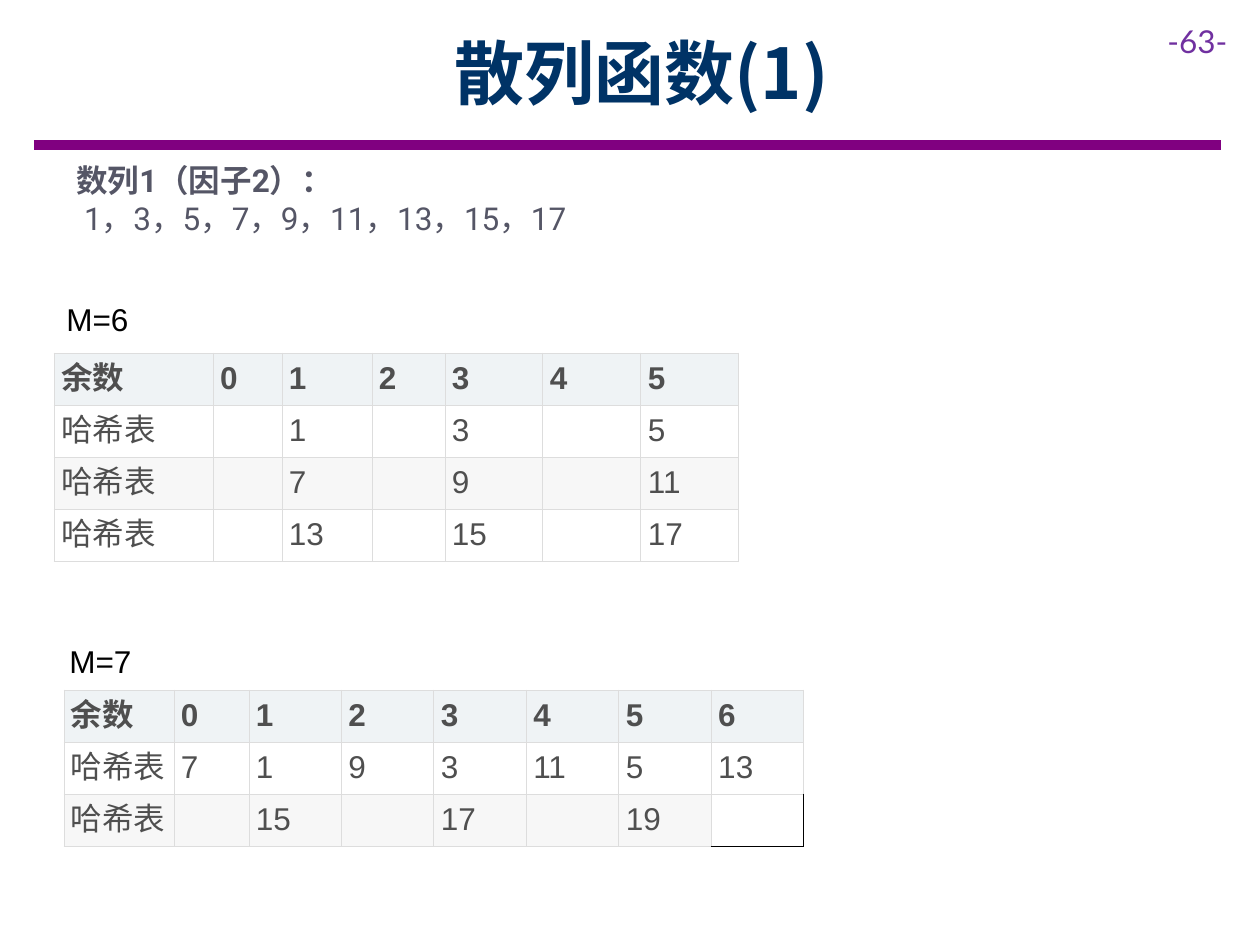
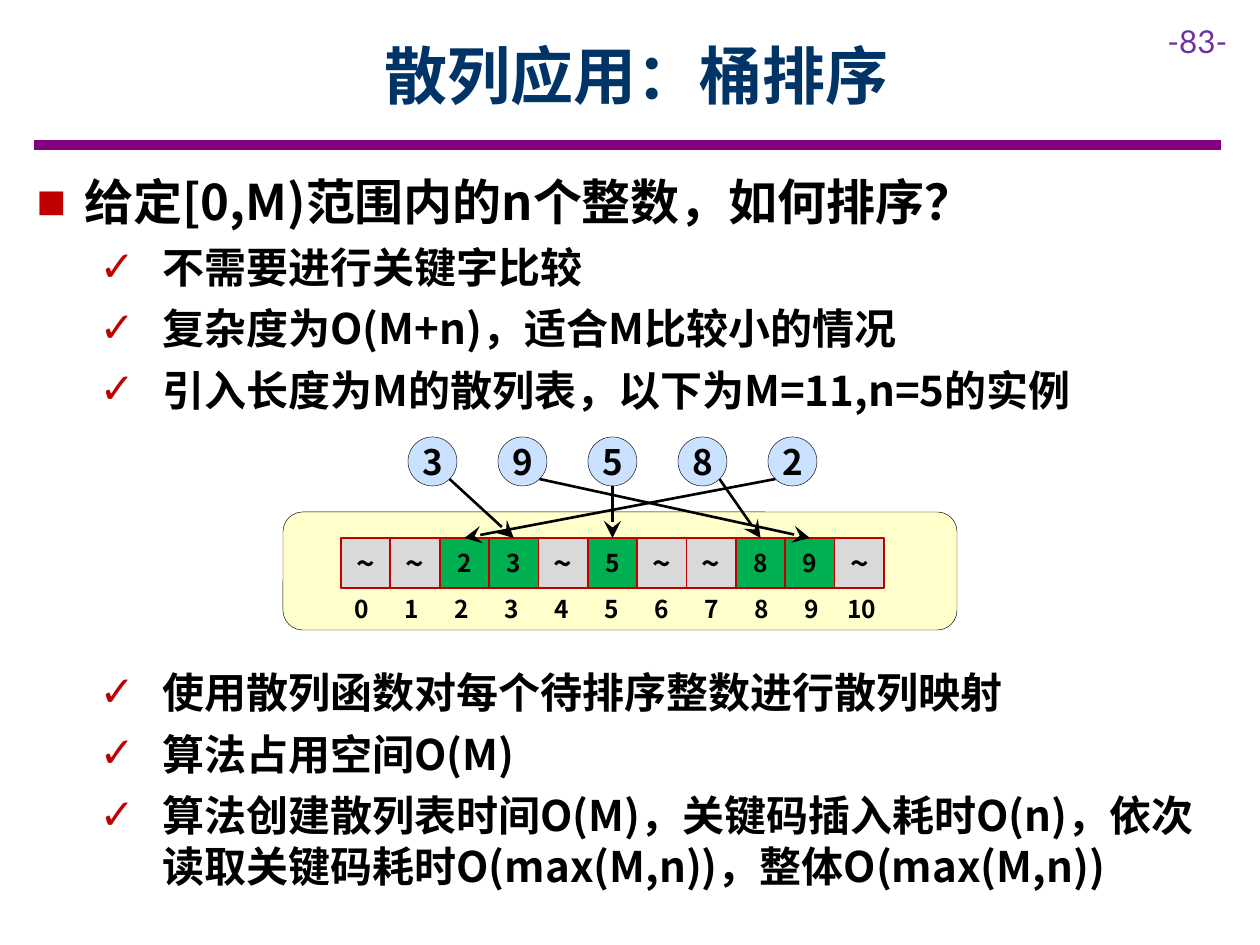
from lxml.etree import SubElement
from pptx import Presentation
from pptx.dml.color import RGBColor
from pptx.enum.shapes import MSO_CONNECTOR, MSO_SHAPE
from pptx.enum.text import MSO_ANCHOR, MSO_AUTO_SIZE, PP_ALIGN
from pptx.oxml.ns import qn
from pptx.util import Emu, Pt

PX_PER_INCH = 126
NAVY = RGBColor(0x00, 0x33, 0x66)
PURPLE = RGBColor(0x80, 0x00, 0x80)
VIOLET = RGBColor(0x70, 0x30, 0xA0)
SLATE = RGBColor(0x55, 0x56, 0x66)
BLACK = RGBColor(0x00, 0x00, 0x00)
WHITE = RGBColor(0xFF, 0xFF, 0xFF)
RED = RGBColor(0xC0, 0x00, 0x00)
GREEN = RGBColor(0x00, 0xB0, 0x50)
GRAY = RGBColor(0xD9, 0xD9, 0xD9)
SKY = RGBColor(0xCA, 0xE2, 0xFF)
CREAM = RGBColor(0xFF, 0xFF, 0xCC)
CELL_TEXT = RGBColor(0x4F, 0x4F, 0x4F)
HEAD_FILL = RGBColor(0xEF, 0xF3, 0xF5)
BAND_FILL = RGBColor(0xF7, 0xF7, 0xF7)
RULE = RGBColor(0xDD, 0xDD, 0xDD)
CJK = "Noto Sans CJK SC"

SEQUENCE = [("数列1（因子2）：", True), (" 1，3，5，7，9，11，13，15，17", False)]
HASH_TABLES = [
    {"m": 6, "keys": range(1, 18, 2), "label": (54, 294), "at": (54, 353),
     "cols": [159, 69, 90, 73, 98, 98, 98], "open_corner": False},
    {"m": 7, "keys": range(1, 20, 2), "label": (57, 636), "at": (64, 690),
     "cols": [110, 75] + [92.5] * 6, "open_corner": True},
]
POINTS = [
    (0, "给定[0,M)范围内的n个整数，如何排序？", 0),
    (1, "不需要进行关键字比较", 0),
    (1, "复杂度为O(M+n)，适合M比较小的情况", 0),
    (1, "引入长度为M的散列表，以下为M=11,n=5的实例", 0),
    (1, "使用散列函数对每个待排序整数进行散列映射", 138),
    (1, "算法占用空间O(M)", 0),
    (1, "算法创建散列表时间O(M)，关键码插入耗时O(n)，"
        "依次读取关键码耗时O(max(M,n))，整体O(max(M,n))", 0),
]
LEVELS = [
    {"size": 28, "line": 34, "margin": 48, "hang": 48, "bullet": "■"},
    {"size": 24, "line": 29, "margin": 126, "hang": 63, "bullet": "✓"},
]
INPUT_KEYS = [3, 9, 5, 8, 2]
BUCKETS = 11


def px(n):
    return Emu(round(n * 914400 / PX_PER_INCH))


def add_run(p, text, font, size, color, bold=False):
    r = p.add_run()
    r.text = text
    r.font.name = font
    r.font.size = Pt(size)
    r.font.bold = bold
    r.font.color.rgb = color
    SubElement(r.font._element, qn("a:ea")).set("typeface", font)


def add_label(s, box, text, font, size, color, bold=False, align=None, wrap=False):
    tf = s.shapes.add_textbox(*map(px, box)).text_frame
    tf.word_wrap = wrap
    p = tf.paragraphs[0]
    p.alignment = align
    add_run(p, text, font, size, color, bold)
    return tf


def add_line(s, start, end, color, width, arrow=False):
    c = s.shapes.add_connector(MSO_CONNECTOR.STRAIGHT, *map(px, start + end))
    c.line.color.rgb = color
    c.line.width = Pt(width)
    if arrow:
        head = SubElement(c.line._get_or_add_ln(), qn("a:tailEnd"))
        for name, value in (("type", "stealth"), ("w", "lg"), ("len", "lg")):
            head.set(name, value)
    SubElement(c._element.spPr, qn("a:effectLst"))
    return c


def add_block(s, kind, box, fill, line, width, text="", size=14):
    sp = s.shapes.add_shape(kind, *map(px, box))
    sp.shadow.inherit = False
    sp.fill.solid()
    sp.fill.fore_color.rgb = fill
    sp.line.color.rgb = line
    sp.line.width = Pt(width)
    if text:
        tf = sp.text_frame
        tf.margin_left = tf.margin_right = tf.margin_top = tf.margin_bottom = 0
        tf.vertical_anchor = MSO_ANCHOR.MIDDLE
        tf.word_wrap = False
        p = tf.paragraphs[0]
        p.alignment = PP_ALIGN.CENTER
        add_run(p, text, CJK, size, BLACK, True)
    return sp


def place(sp, box):
    sp.left, sp.top, sp.width, sp.height = map(px, box)
    sp.text_frame.auto_size = MSO_AUTO_SIZE.NONE
    return sp.text_frame


def new_slide(prs, layout, title, size, corner, number):
    s = prs.slides.add_slide(prs.slide_layouts[layout])
    add_line(s, (34, 145), (1221, 145), PURPLE, 6)
    add_label(s, (1155, 16, 105, 50), f"-{number}-", "Lato", 18, VIOLET)
    tf = place(s.shapes.title, corner + (1047, 126))
    tf.vertical_anchor = MSO_ANCHOR.MIDDLE
    p = tf.paragraphs[0]
    p.alignment = PP_ALIGN.CENTER
    add_run(p, title, CJK, size, NAVY, True)
    return s


def set_borders(cell, colors):
    tcPr = cell._tc.get_or_add_tcPr()
    for i, (side, color) in enumerate(zip("LRTB", colors)):
        ln = tcPr.makeelement(qn(f"a:ln{side}"), {"w": str(Pt(0.5))})
        fill = SubElement(ln, qn("a:solidFill"))
        SubElement(fill, qn("a:srgbClr")).set("val", str(color))
        tcPr.insert(i, ln)


def hash_rows(m, keys):
    chains = [[k for k in keys if k % m == slot] for slot in range(m)]
    depth = max(map(len, chains))
    yield ["余数", *range(m)]
    for i in range(depth):
        yield ["哈希表"] + [c[i] if i < len(c) else "" for c in chains]


def add_hash_table(s, m, keys, label, at, cols, open_corner):
    add_label(s, label + (88, 50), f"M={m}", "Arial", 18, BLACK)
    rows = list(hash_rows(m, keys))
    table = s.shapes.add_table(len(rows), len(cols), *map(px, at),
                               px(sum(cols)), px(52 * len(rows))).table
    table.first_row = table.horz_banding = False
    for col, width in zip(table.columns, cols):
        col.width = px(width)
    for i, row in enumerate(rows):
        table.rows[i].height = px(52)
        for j, value in enumerate(row):
            cell = table.cell(i, j)
            cell.vertical_anchor = MSO_ANCHOR.MIDDLE
            cell.margin_left = cell.margin_right = px(7)
            cell.margin_top = cell.margin_bottom = px(6)
            if value != "":
                add_run(cell.text_frame.paragraphs[0], str(value),
                        "Arial", 18, CELL_TEXT, i == 0)
            if open_corner and (i, j) == (len(rows) - 1, len(cols) - 1):
                cell.fill.background()
                set_borders(cell, [RULE, BLACK, RULE, BLACK])
            else:
                cell.fill.solid()
                cell.fill.fore_color.rgb = (
                    HEAD_FILL if i == 0 else WHITE if i % 2 else BAND_FILL)
                set_borders(cell, [RULE] * 4)


def add_points(tf):
    tf.vertical_anchor = MSO_ANCHOR.TOP
    for i, (level, text, gap) in enumerate(POINTS):
        style = LEVELS[level]
        p = tf.paragraphs[0] if i == 0 else tf.add_paragraph()
        p.level = level
        pPr = p._p.get_or_add_pPr()
        pPr.set("marL", str(px(style["margin"])))
        pPr.set("indent", str(-px(style["hang"])))
        color = SubElement(pPr, qn("a:buClr"))
        SubElement(color, qn("a:srgbClr")).set("val", str(RED))
        SubElement(pPr, qn("a:buFont")).set("typeface", "Arial")
        SubElement(pPr, qn("a:buChar")).set("char", style["bullet"])
        p.line_spacing = Pt(style["line"])
        p.space_before = Pt(gap)
        p.space_after = Pt(6)
        add_run(p, text, CJK, style["size"], BLACK, True)


def add_bucket_diagram(s):
    add_block(s, MSO_SHAPE.ROUNDED_RECTANGLE, (283, 512, 674, 118), CREAM, BLACK, 0.25)
    left, step, diameter = 341, 543 / BUCKETS, 49
    cells = []
    for i in range(BUCKETS):
        used = i in INPUT_KEYS
        cells.append(add_block(
            s, MSO_SHAPE.RECTANGLE, (left + i * step, 538, step, 50),
            GREEN if used else GRAY, RED, 1,
            str(i) if used else "~", 14 if used else 18))
        tf = add_label(s, (337 + 50 * i, 588, 50, 43), str(i), CJK, 14, BLACK, True,
                       PP_ALIGN.CENTER)
        tf.margin_left = tf.margin_right = 0
    for i, key in enumerate(INPUT_KEYS):
        x = 408 + 90 * i
        add_block(s, MSO_SHAPE.OVAL, (x, 437, diameter, diameter), SKY, BLACK, 0.25,
                  str(key), 20)
        center = x + diameter / 2
        target = left + (key + 0.5) * step
        shift = round((target - center) / step)
        side = (shift > 0) - (shift < 0)
        start = (center + 17 * side, 479 if side else 486)
        arrow = add_line(s, start, (target, 538), BLACK, 1.5, True)
        arrow.end_connect(cells[key], 0)


def main():
    prs = Presentation()
    prs.slide_width, prs.slide_height = px(1260), px(945)

    s = new_slide(prs, 5, "散列函数(1)", 40, (118, 9), 63)
    (heading, bold), (numbers, plain) = SEQUENCE
    tf = add_label(s, (64, 155, 630, 89), heading, "Roboto", 18, SLATE, bold, wrap=True)
    add_run(tf.add_paragraph(), numbers, "Roboto", 18, SLATE, plain)
    for hash_table in HASH_TABLES:
        add_hash_table(s, **hash_table)

    s = new_slide(prs, 1, "散列应用：桶排序", 36, (113, 11), 83)
    add_points(place(s.placeholders[1], (24, 165, 1221, 738)))
    add_bucket_diagram(s)
    prs.save("out.pptx")


if __name__ == "__main__":
    main()
